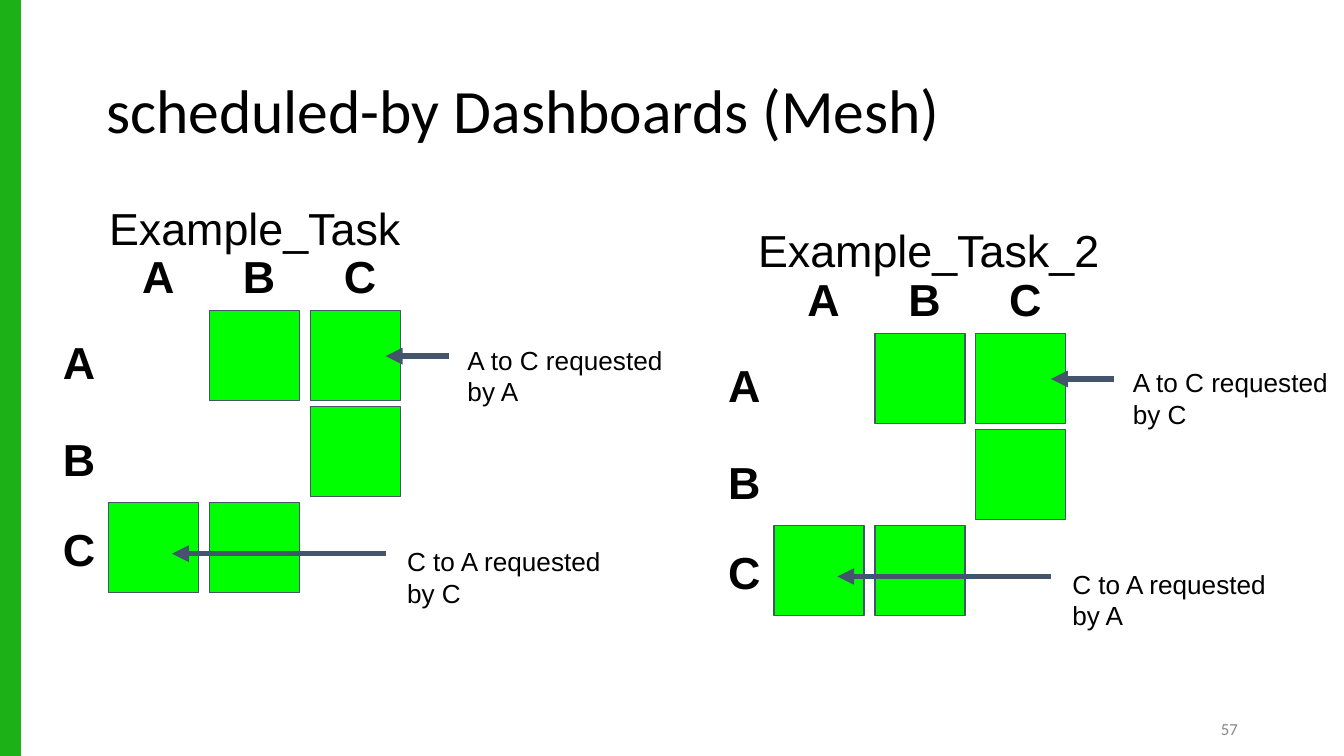
"""Build a slide with two mesh dashboards of scheduled tasks."""
from dataclasses import dataclass

from lxml.etree import SubElement
from pptx import Presentation
from pptx.dml.color import RGBColor
from pptx.enum.shapes import MSO_CONNECTOR as Connector, MSO_SHAPE as Shape
from pptx.enum.text import MSO_ANCHOR as Anchor, MSO_AUTO_SIZE as AutoSize, PP_ALIGN as Align
from pptx.oxml.ns import qn
from pptx.util import Inches, Pt

COLORS = {"bar": "1DB118", "cell": "00FF00", "slate": "44546A",
          "text": "000000", "number": "888888"}
PAGE_WIDTH = 10
PAGE_HEIGHT = PAGE_WIDTH * 9 / 16
HOSTS = "ABC"
CELLS = ((0, 1), (0, 2), (1, 2), (2, 0), (2, 1))
CELL_SIZE, COLUMN_STEP, ROW_STEP = 0.67, 0.75, 1.43 / 2
ROW_LABEL_TOPS = (2.39, 3.11, 3.78)


@dataclass(frozen=True)
class Mesh:
    heading: str
    heading_width: float
    dx: float
    dy: float
    upper_requester: str
    lower_requester: str


@dataclass(frozen=True)
class Callout:
    text: str
    text_left: float
    text_top: float
    start: float
    end: float
    level: float


def color(name: str) -> RGBColor:
    return RGBColor.from_string(COLORS[name])


def format_text(frame, text: str, *, size: float, font: str = "Arial", bold: bool = False,
                tint: str = "text", align=Align.LEFT, anchor=Anchor.TOP,
                inset: float = 0.1, spacing: float = 1.0) -> None:
    frame.word_wrap = True
    frame.auto_size = AutoSize.NONE
    frame.vertical_anchor = anchor
    frame.margin_left = frame.margin_right = Inches(0.1)
    frame.margin_top = frame.margin_bottom = Inches(inset)
    para = frame.paragraphs[0]
    para.alignment = align
    para.line_spacing = spacing
    span = para.add_run()
    span.text = text
    span.font.name = font
    span.font.size = Pt(size)
    span.font.bold = bold
    span.font.color.rgb = color(tint)


def add_text(page, text: str, left: float, top: float, width: float, height: float,
             **style) -> None:
    box = page.shapes.add_textbox(Inches(left), Inches(top), Inches(width), Inches(height))
    format_text(box.text_frame, text, **style)


def add_rectangle(page, left: float, top: float, width: float, height: float,
                  fill: str, line: str) -> None:
    box = page.shapes.add_shape(Shape.RECTANGLE, Inches(left), Inches(top),
                                Inches(width), Inches(height))
    box.shadow.inherit = False
    box.fill.solid()
    box.fill.fore_color.rgb = color(fill)
    box.line.color.rgb = color(line)
    box.line.width = Pt(0.75)


def add_arrow(page, start: float, end: float, level: float) -> None:
    arrow = page.shapes.add_connector(Connector.STRAIGHT, Inches(start), Inches(level),
                                      Inches(end), Inches(level))
    arrow.line.color.rgb = color("slate")
    arrow.line.width = Pt(3)
    line = arrow._element.spPr.find(qn("a:ln"))
    SubElement(line, qn("a:tailEnd"), type="triangle")
    SubElement(arrow._element.spPr, qn("a:effectLst"))


def add_mesh(page, mesh: Mesh) -> None:
    dx, dy = mesh.dx, mesh.dy
    for row, column in CELLS:
        add_rectangle(page, 0.81 + dx + column * COLUMN_STEP, 2.31 + dy + row * ROW_STEP,
                      CELL_SIZE, CELL_SIZE, "cell", "slate")
    for index, host in enumerate(HOSTS):
        add_text(page, host, 0.37 + dx, ROW_LABEL_TOPS[index] + dy, 0.36, 0.5,
                 size=24, bold=True)
        add_text(page, host, 0.96 + dx + index * COLUMN_STEP, 1.75 + dy, 0.36, 0.5,
                 size=24, bold=True)
    callouts = (
        Callout(f"A to C requested by {mesh.upper_requester}", 3.38, 2.46, 3.34, 2.87, 2.65),
        Callout(f"C to A requested by {mesh.lower_requester}", 2.93, 3.96, 2.87, 1.28, 4.12),
    )
    for callout in callouts:
        add_arrow(page, callout.start + dx, callout.end + dx, callout.level + dy)
        add_text(page, callout.text, callout.text_left + dx, callout.text_top + dy,
                 1.88, 0.23, size=14)
    add_text(page, mesh.heading, 0.54 + dx, 1.39 + dy, mesh.heading_width, 0.49,
             size=24, align=Align.CENTER)


def main() -> None:
    deck = Presentation()
    deck.slide_width, deck.slide_height = Inches(PAGE_WIDTH), Inches(PAGE_HEIGHT)
    page = deck.slides.add_slide(deck.slide_layouts[5])
    add_rectangle(page, 0, 0, 0.15, PAGE_HEIGHT, "bar", "bar")
    title = page.shapes.title
    title.left, title.top = Inches(0.69), Inches(0.3)
    title.width, title.height = Inches(8.62), Inches(1.09)
    format_text(title.text_frame, "scheduled-by Dashboards (Mesh)", size=33,
                font="Calibri", anchor=Anchor.MIDDLE, spacing=0.9)
    add_text(page, "57", 7.06, 5.27, 2.25, 0.3, size=9, font="Calibri", tint="number",
             align=Align.RIGHT, anchor=Anchor.MIDDLE, inset=0.05)
    for mesh in (Mesh("Example_Task", 2.71, 0, 0, "A", "C"),
                 Mesh("Example_Task_2", 2.84, 4.95, 0.17, "C", "A")):
        add_mesh(page, mesh)
    deck.save("out.pptx")


main()
